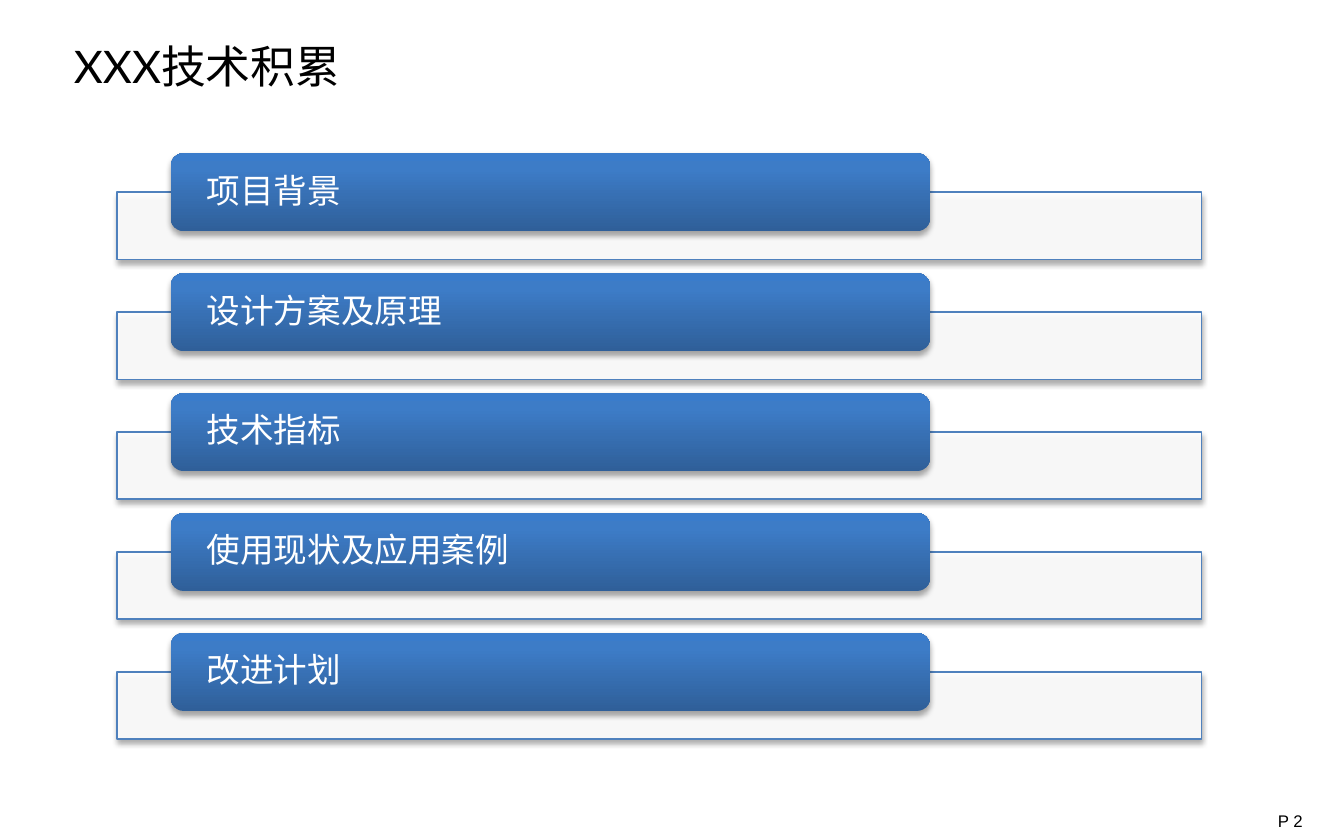
from copy import deepcopy
from dataclasses import dataclass

from lxml import etree
from pptx import Presentation
from pptx.dml.color import RGBColor
from pptx.enum import shapes, text
from pptx.oxml import ns
from pptx.util import Inches, Pt


@dataclass(frozen=True)
class Theme:
    black: str = "000000"
    white: str = "FFFFFF"
    edge: str = "4F81BD"
    blues: tuple = ((0, "2F5F99"), (0.8, "3D7CC7"), (1, "3A7CCB"))
    head: int = 24
    label: int = 18
    small: int = 9
    latin: str = "Lato"
    plain: str = "Arial"
    asian: str = "Noto Sans CJK SC"


def add(parent, tag, **attrs):
    return etree.SubElement(parent, ns.qn(tag), attrs)


class Deck:
    """Holds the theme and the current slide."""

    def __init__(self, theme, width, height):
        self.theme = theme
        self.prs = Presentation()
        self.prs.slide_width = Inches(width)
        self.prs.slide_height = Inches(height)
        self.slide = self.prs.slides.add_slide(self.prs.slide_layouts[5])

    def letter(self, shape, words, size, color, font, pad, anchor):
        """Set one left-aligned line; pad is the side and the top inset."""
        frame = shape.text_frame
        frame.text = words
        frame.word_wrap = True
        frame.auto_size = text.MSO_AUTO_SIZE.NONE
        frame.vertical_anchor = anchor
        frame.margin_left = frame.margin_right = Inches(pad[0])
        frame.margin_top = frame.margin_bottom = Inches(pad[1])
        para = frame.paragraphs[0]
        para.alignment = text.PP_ALIGN.LEFT
        run = para.runs[0]
        run.font.size = Pt(size)
        run.font.name = font
        run.font.color.rgb = RGBColor.from_string(color)
        add(run.font._element, "a:ea", typeface=self.theme.asian)
        return para

    def title(self, words, box):
        shape = self.slide.shapes.title
        shape.left, shape.top, shape.width, shape.height = map(Inches, box)
        self.letter(shape, words, self.theme.head, self.theme.black,
                    self.theme.latin, (0.08, 0.04), text.MSO_ANCHOR.MIDDLE)

    def note(self, words, box):
        shape = self.slide.shapes.add_textbox(*map(Inches, box))
        self.letter(shape, words, self.theme.small, self.theme.black,
                    self.theme.plain, (0.1, 0.05), text.MSO_ANCHOR.TOP)

    def block(self, kind, box):
        """Add a preset shape with a soft shadow below it."""
        shape = self.slide.shapes.add_shape(kind, *map(Inches, box))
        shape.shadow.inherit = False
        effects = shape._element.spPr.find(ns.qn("a:effectLst"))
        shade = add(effects, "a:outerShdw", blurRad=str(Pt(3.1)),
                    dist=str(Pt(1.8)), dir="5400000", rotWithShape="0")
        tint = add(shade, "a:srgbClr", val=self.theme.black)
        add(tint, "a:alpha", val="35000")
        return shape

    def tray(self, box):
        shape = self.block(shapes.MSO_SHAPE.RECTANGLE, box)
        shape.fill.solid()
        shape.fill.fore_color.rgb = RGBColor.from_string(self.theme.white)
        tint = shape._element.spPr.find(ns.qn("a:solidFill"))[0]
        add(tint, "a:alpha", val="90000")
        shape.line.color.rgb = RGBColor.from_string(self.theme.edge)
        shape.line.width = Pt(0.75)

    def pill(self, words, box):
        shape = self.block(shapes.MSO_SHAPE.ROUNDED_RECTANGLE, box)
        shape.line.fill.background()
        shape.fill.gradient()
        shape.fill.gradient_angle = 90
        stops = shape._element.spPr.find(".//" + ns.qn("a:gsLst"))
        stops.insert(1, deepcopy(stops[0]))
        for stop, (place, color) in zip(shape.fill.gradient_stops,
                                        self.theme.blues):
            stop.position = place
            stop.color.rgb = RGBColor.from_string(color)
        para = self.letter(shape, words, self.theme.label, self.theme.white,
                           self.theme.asian, (0.24, 0.03),
                           text.MSO_ANCHOR.MIDDLE)
        para.line_spacing = 0.9


TOPICS = ("项目背景", "设计方案及原理", "技术指标", "使用现状及应用案例", "改进计划")
FIRST, LAST = 1.14, 4.71


def main():
    deck = Deck(Theme(), 10, 6.25)
    deck.note("P 2", (9.41, 5.98, 0.51, 0.31))
    deck.title("XXX技术积累", (0.47, 0.17, 6.1, 0.64))
    pitch = (LAST - FIRST) / (len(TOPICS) - 1)
    for row, topic in enumerate(TOPICS):
        top = FIRST + row * pitch
        deck.tray((0.87, top + 0.29, 8.07, 0.5))
        deck.pill(topic, (1.27, top, 5.65, 0.58))
    deck.prs.save("out.pptx")


if __name__ == "__main__":
    main()
